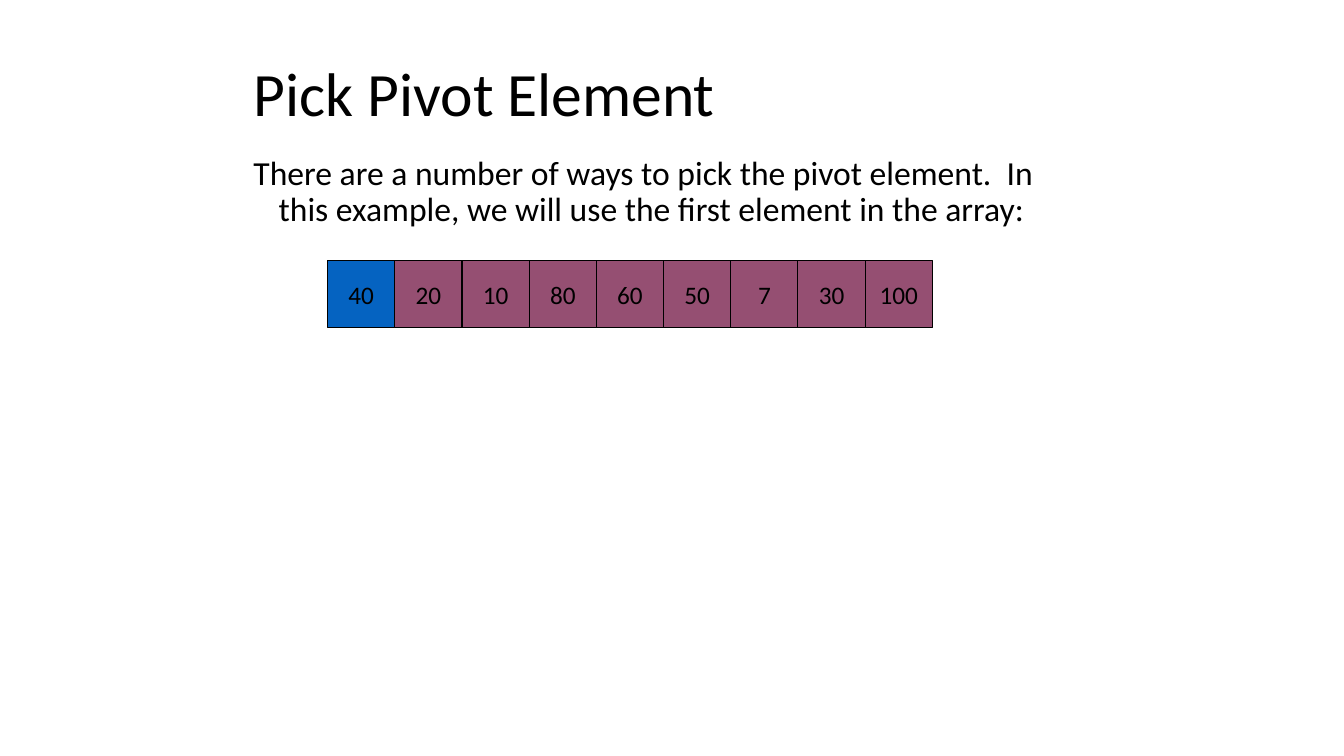
from dataclasses import dataclass

from pptx import Presentation
from pptx import util as u
from pptx.dml.color import RGBColor
from pptx.enum import shapes, text


@dataclass(frozen=True)
class Theme:
    font: str = "Calibri"
    ink: str = "000000"
    pivot: str = "0563C1"
    cell: str = "954F72"
    paper: str = "FFFFFF"
    head: float = 44
    body: float = 24
    label: float = 18
    edge: float = 0.75


def color(code):
    return RGBColor.from_string(code)


def write(frame, words, size, theme, align=text.PP_ALIGN.LEFT,
          anchor=text.MSO_ANCHOR.TOP, wrap=True, space=1.0, before=0, hang=0):
    """Fill a text frame with one paragraph; hang is its hanging indent."""
    frame.auto_size = text.MSO_AUTO_SIZE.NONE
    frame.word_wrap = wrap
    frame.vertical_anchor = anchor
    para = frame.paragraphs[0]
    para.alignment = align
    para.line_spacing = space
    para.space_before = u.Pt(before)
    if hang:
        props = para._p.get_or_add_pPr()
        props.set("marL", str(u.Pt(hang)))
        props.set("indent", str(-u.Pt(hang)))
    run = para.add_run()
    run.text = words
    run.font.name = theme.font
    run.font.size = u.Pt(size)
    run.font.color.rgb = color(theme.ink)


class Page:
    def __init__(self, deck, theme):
        self.theme = theme
        self.slide = deck.slides.add_slide(deck.slide_layouts[5])
        fill = self.slide.background.fill
        fill.solid()
        fill.fore_color.rgb = color(theme.paper)

    def title(self, words, x, y, w, h):
        box = self.slide.shapes.title
        box.left, box.top, box.width, box.height = map(u.Pt, (x, y, w, h))
        write(box.text_frame, words, self.theme.head, self.theme,
              anchor=text.MSO_ANCHOR.MIDDLE, space=0.9)

    def body(self, words, x, y, w, h):
        box = self.slide.shapes.add_textbox(*map(u.Pt, (x, y, w, h)))
        write(box.text_frame, words, self.theme.body, self.theme,
              space=0.9, before=10, hang=18)

    def cell(self, words, x, y, side, fill):
        box = self.slide.shapes.add_shape(
            shapes.MSO_SHAPE.RECTANGLE, *map(u.Pt, (x, y, side, side)))
        box.shadow.inherit = False
        box.fill.solid()
        box.fill.fore_color.rgb = color(fill)
        box.line.color.rgb = color(self.theme.ink)
        box.line.width = u.Pt(self.theme.edge)
        write(box.text_frame, words, self.theme.label, self.theme,
              align=text.PP_ALIGN.CENTER, anchor=text.MSO_ANCHOR.MIDDLE,
              wrap=False)

    def array(self, values, pivot, x, y, side):
        """Draw a row of touching cells, with the pivot in its own colour."""
        for i, value in enumerate(values):
            fill = self.theme.pivot if i == pivot else self.theme.cell
            self.cell(str(value), x + i * side, y, side, fill)


def main():
    deck = Presentation()
    deck.slide_width, deck.slide_height = u.Pt(960), u.Pt(540)
    page = Page(deck, Theme())
    page.title("Pick Pivot Element", 174, 24, 612, 90)
    page.body("There are a number of ways to pick the pivot element.  In this "
              "example, we will use the first element in the array:",
              174, 108, 612, 324)
    page.array([40, 20, 10, 80, 60, 50, 7, 30, 100], pivot=0,
               x=234, y=186, side=48)
    deck.save("out.pptx")


if __name__ == "__main__":
    main()
